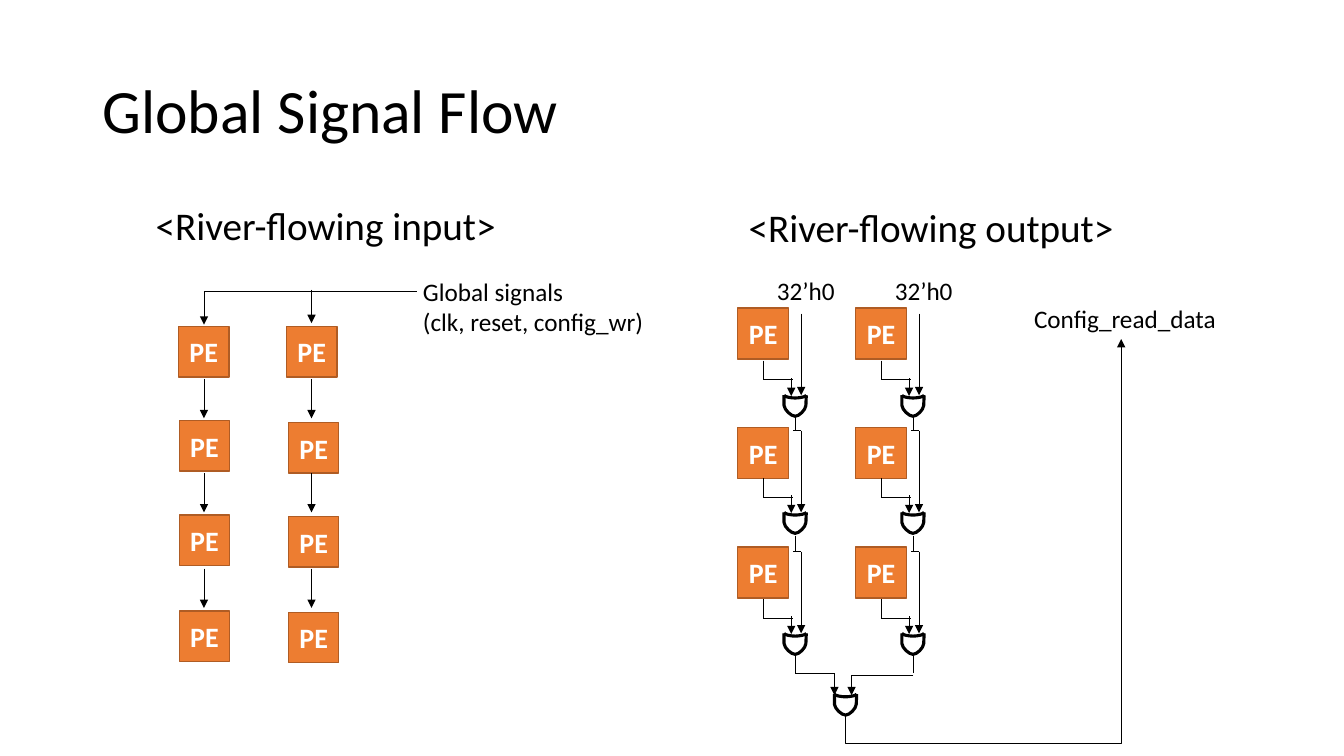
from dataclasses import dataclass

from lxml.etree import SubElement
from pptx import Presentation
from pptx.dml.color import RGBColor
from pptx.enum.shapes import MSO_CONNECTOR, MSO_SHAPE
from pptx.enum.text import MSO_ANCHOR, MSO_AUTO_SIZE, PP_ALIGN
from pptx.oxml.ns import qn
from pptx.util import Cm, Pt

# Content; all lengths are in centimetres
TITLE = "Global Signal Flow"
INPUT_HEADING = "<River-flowing input>"
OUTPUT_HEADING = "<River-flowing output>"
GLOBAL_SIGNALS = ["Global signals", "(clk, reset, config_wr)"]
READ_DATA = "Config_read_data"
SEED = "32’h0"
PE = "PE"

INPUT_SIZE, OUTPUT_SIZE = 1.27, 1.29
# Arrow x, arrow top, then left and top of each PE
INPUT_COLUMNS = [
    (5.14, 7.34, [(4.5, 8.23), (4.52, 10.6), (4.52, 12.98), (4.52, 15.4)]),
    (7.85, 7.3, [(7.22, 8.23), (7.27, 10.65), (7.27, 13.02), (7.27, 15.43)]),
]
INPUT_ARROW_TOPS = [9.55, 11.92, 14.33]
BUS_Y, BUS_END = 7.34, 10.52
OUTPUT_COLUMNS = [18.59, 21.56]
OUTPUT_TOP, OUTPUT_PITCH = 7.76, 3.01
GATE_TOPS = [9.96, 12.91, 15.96]
FINAL_GATE = (21.31, 17.49)

# Start, then line ends (one point) and cubic curves (three points),
# relative to the middle of the top of a gate
GATE_BODY = ((0.28, 0), [
    [(0.27, 0.26)],
    [(0.26, 0.37), (0.1, 0.53), (0, 0.53)],
    [(-0.1, 0.53), (-0.27, 0.37), (-0.28, 0.26)],
    [(-0.28, 0)],
])
GATE_INLET = ((-0.28, 0), [
    [(-0.28, 0.04), (-0.1, 0.07), (0, 0.07)],
    [(0.1, 0.07), (0.28, 0.04), (0.28, 0)],
])


@dataclass(frozen=True)
class Theme:
    font: str = "Calibri"
    ink: RGBColor = RGBColor(0, 0, 0)
    paper: RGBColor = RGBColor(255, 255, 255)
    pe_fill: RGBColor = RGBColor(0xED, 0x7D, 0x31)
    pe_line: RGBColor = RGBColor(0xAF, 0x5C, 0x24)
    title: int = 44
    heading: int = 28
    pe: int = 20
    label: int = 18
    wire: float = 0.5
    gate: float = 2.25


THEME = Theme()


def write(sp, lines, size, color=THEME.ink, bold=False, align=PP_ALIGN.LEFT):
    tf = sp.text_frame
    tf.text = "\n".join(lines)
    for p in tf.paragraphs:
        p.alignment = align
        for r in p.runs:
            r.font.name, r.font.size, r.font.bold = THEME.font, Pt(size), bold
            r.font.color.rgb = color
    return tf


def place(sp, x, y, w, h):
    sp.left, sp.top, sp.width, sp.height = Cm(x), Cm(y), Cm(w), Cm(h)


def paint(sp, fill, line, width):
    sp.shadow.inherit = False
    sp.fill.solid()
    sp.fill.fore_color.rgb = fill
    sp.line.color.rgb, sp.line.width = line, Pt(width)


def add_label(shapes, lines, x, y, w, h, size=THEME.label, wrap=False):
    sp = shapes.add_textbox(Cm(x), Cm(y), Cm(w), Cm(h))
    write(sp, lines, size).word_wrap = wrap


def add_pe(shapes, x, y, size):
    sp = shapes.add_shape(MSO_SHAPE.RECTANGLE, Cm(x), Cm(y), Cm(size), Cm(size))
    paint(sp, THEME.pe_fill, THEME.pe_line, 1)
    tf = write(sp, [PE], THEME.pe, THEME.paper, True, PP_ALIGN.CENTER)
    tf.vertical_anchor = MSO_ANCHOR.MIDDLE
    tf.margin_left = tf.margin_right = 0


def add_wire(shapes, x1, y1, x2, y2, arrow=False, kind=MSO_CONNECTOR.STRAIGHT):
    cxn = shapes.add_connector(kind, Cm(x1), Cm(y1), Cm(x2), Cm(y2))
    cxn.line.color.rgb, cxn.line.width = THEME.ink, Pt(THEME.wire)
    if arrow:
        SubElement(cxn.line._get_or_add_ln(), qn("a:tailEnd"), type="triangle")
    SubElement(cxn._element.spPr, qn("a:effectLst"))
    return cxn


def add_outline(shapes, x, y, start, segments):
    """Draw an open outline, joining each three-point segment into a curve."""
    builder = shapes.build_freeform(Cm(x + start[0]), Cm(y + start[1]))
    points = [(Cm(x + dx), Cm(y + dy)) for segment in segments for dx, dy in segment]
    builder.add_line_segments(points, close=False)
    sp = builder.convert_to_shape()
    outline = next(sp._element.iter(qn("a:path")))
    steps = iter(outline.findall(qn("a:lnTo")))
    for segment in segments:
        first, *rest = [next(steps) for _ in segment]
        if rest:
            curve = SubElement(outline, qn("a:cubicBezTo"))
            outline.replace(first, curve)
            curve.append(first[0])
            for step in rest:
                curve.append(step[0])
                outline.remove(step)
    paint(sp, THEME.paper, THEME.ink, THEME.gate)


def add_gate(shapes, x, y):
    for start, segments in (GATE_BODY, GATE_INLET):
        add_outline(shapes, x, y, start, segments)


def add_headings(slide):
    title, body = slide.placeholders
    place(title, 2.33, 1.01, 29.21, 3.68)
    place(body, 2.33, 5.08, 13.06, 12.09)
    tf = write(title, [TITLE], THEME.title)
    tf.vertical_anchor = MSO_ANCHOR.MIDDLE
    tf.paragraphs[0].line_spacing = 0.9
    tf.auto_size = MSO_AUTO_SIZE.NONE
    tf = write(body, [INPUT_HEADING], THEME.heading)
    tf.auto_size = MSO_AUTO_SIZE.NONE
    p = tf.paragraphs[0]
    p.line_spacing, p.space_before = 0.9, Pt(0)
    pPr = p._p.get_or_add_pPr()
    pPr.set("marL", str(Cm(1.34)))
    pPr.set("indent", "0")
    SubElement(pPr, qn("a:buNone"))
    add_label(slide.shapes, [OUTPUT_HEADING], 18.62, 5, 9.8, 1.45, THEME.heading)


def add_input_flow(shapes):
    for x, top, pes in INPUT_COLUMNS:
        for left, y in pes:
            add_pe(shapes, left, y, INPUT_SIZE)
        add_wire(shapes, x, top, x, top + 0.84, arrow=True)
        for y in INPUT_ARROW_TOPS:
            add_wire(shapes, x, y, x, y + 0.99, arrow=True)
    add_wire(shapes, INPUT_COLUMNS[0][0], BUS_Y, BUS_END, BUS_Y)
    add_label(shapes, GLOBAL_SIGNALS, 10.41, 6.83, 6.07, 1.8, wrap=True)


def add_output_column(shapes, x):
    """Stack PEs, each joined with the running result by an OR gate."""
    pe_x, left_in, gate_x, right_in = x + 0.64, x + 1.35, x + 1.45, x + 1.6
    for row, gate_y in enumerate(GATE_TOPS):
        chain_y, pe_y = gate_y - 2.06, gate_y - 0.39
        add_pe(shapes, x, OUTPUT_TOP + row * OUTPUT_PITCH, OUTPUT_SIZE)
        add_gate(shapes, gate_x, gate_y)
        add_wire(shapes, right_in, chain_y, right_in, gate_y, arrow=True)
        add_wire(shapes, pe_x, gate_y - 0.87, pe_x, pe_y)
        add_wire(shapes, pe_x, pe_y, left_in + 0.05, pe_y)
        add_wire(shapes, left_in, pe_y - 0.04, left_in, gate_y + 0.02, arrow=True)
        if row:
            add_wire(shapes, gate_x, chain_y - 0.4, gate_x, chain_y)
            add_wire(shapes, gate_x - 0.05, chain_y, right_in, chain_y)
    add_label(shapes, [SEED], x + 0.74, 6.81, 1.98, 1.02)


def add_read_path(shapes):
    x, y = FINAL_GATE
    add_gate(shapes, x, y)
    for column, inlet, bend in zip(OUTPUT_COLUMNS, (x - 0.28, x + 0.15), (16.97, 17.02)):
        out = column + 1.45
        add_wire(shapes, out, GATE_TOPS[-1] + 0.53, out, 16.97)
        add_wire(shapes, out, bend, inlet, bend)
        add_wire(shapes, inlet, bend, inlet, y + 0.03, arrow=True)
    # Elbow turned by 90 degrees, leaving the gate downwards
    cxn = add_wire(shapes, 29.51, 16.76, 20.04, 9.8, True, MSO_CONNECTOR.ELBOW)
    cxn._element.spPr.find(qn("a:xfrm")).set("rot", "5400000")
    adjust = cxn._element.spPr.find(qn("a:prstGeom")).find(qn("a:avLst"))
    SubElement(adjust, qn("a:gd"), name="adj1", fmla="val -7500")
    add_label(shapes, [READ_DATA], 25.81, 7.52, 6.07, 1.02, wrap=True)


def main():
    prs = Presentation()
    prs.slide_width, prs.slide_height = Cm(33.87), Cm(19.05)
    slide = prs.slides.add_slide(prs.slide_layouts[1])
    add_headings(slide)
    add_input_flow(slide.shapes)
    for x in OUTPUT_COLUMNS:
        add_output_column(slide.shapes, x)
    add_read_path(slide.shapes)
    prs.save("out.pptx")


if __name__ == "__main__":
    main()
